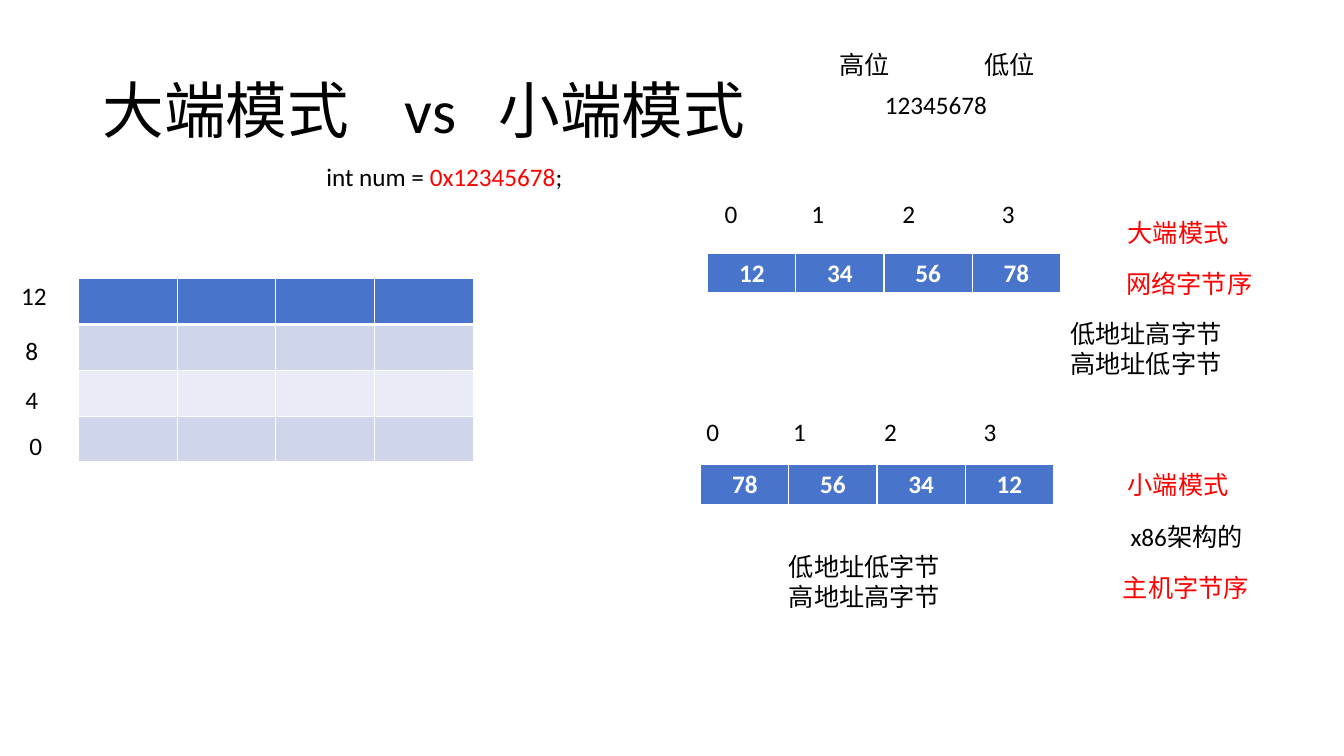
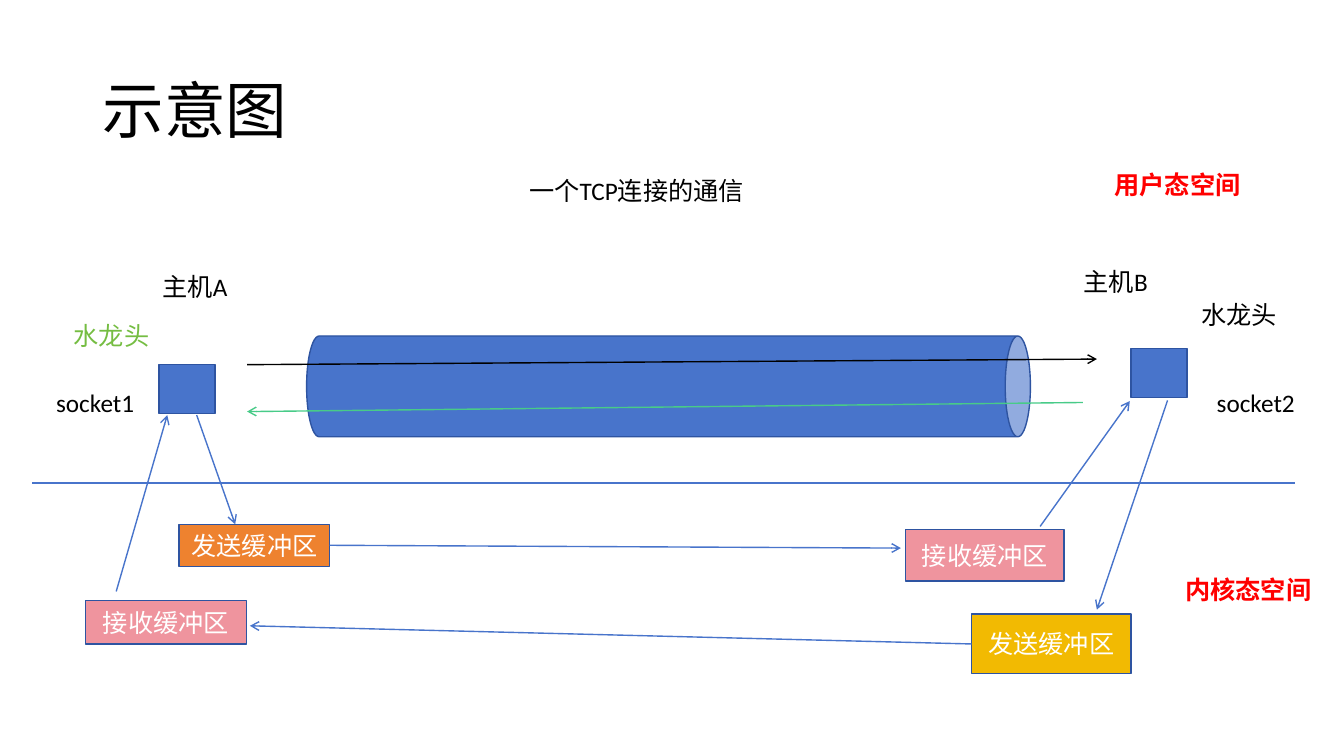
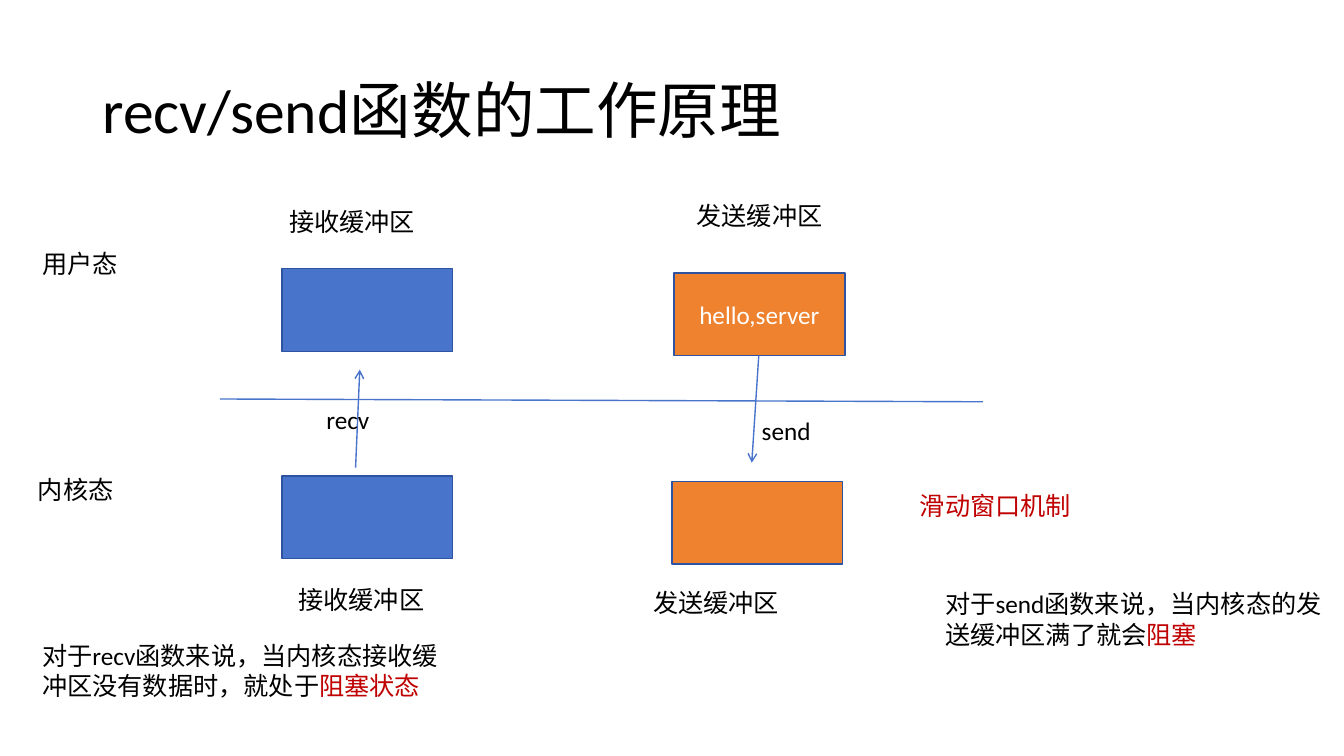
from collections import namedtuple

from pptx import Presentation
from pptx.dml.color import RGBColor
from pptx.enum.shapes import MSO_CONNECTOR, MSO_SHAPE
from pptx.enum.text import MSO_ANCHOR, PP_ALIGN
from pptx.oxml.ns import qn
from pptx.util import Pt
from lxml import etree

STRAIGHT = MSO_CONNECTOR.STRAIGHT
RECT, CAN = MSO_SHAPE.RECTANGLE, MSO_SHAPE.CAN
MIDDLE = MSO_ANCHOR.MIDDLE
LEFT, CENTER = PP_ALIGN.LEFT, PP_ALIGN.CENTER

FONT = "Calibri"
TITLE_SIZE, BODY_SIZE = 44, 18
LINE_HEIGHT = 29
BLACK, WHITE, RED, DARK_RED = "000000", "FFFFFF", "FF0000", "C00000"
BLUE, OUTLINE, ORANGE, PINK, YELLOW = "4874CB", "2E54A1", "EE822F", "EF949E", "F2BA02"
LEAF, MINT = "75BD42", "48CB88"
BAND_DARK, BAND_LIGHT = "CFD6EC", "E9EBF6"

Box = namedtuple("Box", "left top width height")
PAGE = Box(0, 0, 960, 540)
TITLE_BOX = Box(66, 29, 828, 104)


# Shared helpers

def rgb(value):
    return RGBColor.from_string(value)


def inside(box, left, top, width, height):
    """Box given by offsets from another box."""
    return Box(box.left + left, box.top + top, width, height)


def points(box):
    return [Pt(length) for length in box]


def style_para(para, size, color, bold=False, align=LEFT):
    para.alignment = align
    for span in para.runs:
        span.font.name = FONT
        span.font.size = Pt(size)
        span.font.bold = bold
        span.font.color.rgb = rgb(color)


def set_tabs(para, stops):
    tab_list = etree.SubElement(para._p.get_or_add_pPr(), qn("a:tabLst"))
    for stop in stops:
        etree.SubElement(tab_list, qn("a:tab"), pos=str(Pt(stop)), algn="l")


def new_slide(deck, title, stops=()):
    slide = deck.slides.add_slide(deck.slide_layouts[5])
    holder = slide.shapes.title
    holder.left, holder.top, holder.width, holder.height = points(TITLE_BOX)
    holder.text_frame.text = title
    holder.text_frame.vertical_anchor = MIDDLE
    para = holder.text_frame.paragraphs[0]
    style_para(para, TITLE_SIZE, BLACK)
    para.line_spacing = 0.9
    if stops:
        set_tabs(para, stops)
    return slide


def add_label(slide, box, left, top, width, text, color=BLACK, bold=False,
              marked="", mark_color=RED):
    """Text box at an offset from box; the marked words get mark_color."""
    lines = text.split("\n")
    place = inside(box, left, top, width, LINE_HEIGHT * len(lines))
    frame = slide.shapes.add_textbox(*points(place)).text_frame
    frame.word_wrap = True
    frame.text = text
    for para in frame.paragraphs:
        if marked:
            pieces = para.text.partition(marked)
            para.text = ""
            for piece in filter(None, pieces):
                para.add_run().text = piece
        style_para(para, BODY_SIZE, color, bold)
        for span in para.runs:
            if span.text == marked:
                span.font.color.rgb = rgb(mark_color)
    return frame


def add_block(slide, place, fill, text="", kind=RECT):
    block = slide.shapes.add_shape(kind, *points(place))
    block.shadow.inherit = False
    block.fill.solid()
    block.fill.fore_color.rgb = rgb(fill)
    block.line.color.rgb = rgb(OUTLINE)
    block.line.width = Pt(1)
    if text:
        frame = block.text_frame
        frame.margin_left = frame.margin_right = 0
        frame.vertical_anchor = MIDDLE
        frame.text = text
        style_para(frame.paragraphs[0], BODY_SIZE, WHITE, align=CENTER)
    return block


def add_line(slide, box, start, end, color=BLUE, arrow=True):
    (x1, y1), (x2, y2) = start, end
    line = slide.shapes.add_connector(
        STRAIGHT, Pt(box.left + x1), Pt(box.top + y1), Pt(box.left + x2), Pt(box.top + y2))
    line.line.color.rgb = rgb(color)
    line.line.width = Pt(1)
    if arrow:
        etree.SubElement(line.line._get_or_add_ln(), qn("a:tailEnd"), type="arrow")
    etree.SubElement(line._element.spPr, qn("a:effectLst"))


def set_borders(cell, widths):
    """White borders; widths are left, right, top, bottom."""
    properties = cell._tc.get_or_add_tcPr()
    for index, (side, width) in enumerate(zip("LRTB", widths)):
        border = etree.Element(qn("a:ln" + side), w=str(Pt(width)))
        fill = etree.SubElement(border, qn("a:solidFill"))
        etree.SubElement(fill, qn("a:srgbClr"), val=WHITE)
        properties.insert(index, border)


def add_grid(slide, box, rows, fills):
    """Table of equal cells with a thick line below its first row."""
    columns = len(rows[0])
    table = slide.shapes.add_table(len(rows), columns, *points(box)).table
    table.first_row = table.horz_banding = False
    for column in table.columns:
        column.width = Pt(box.width / columns)
    for index, (row, fill) in enumerate(zip(rows, fills)):
        table.rows[index].height = Pt(box.height / len(rows))
        for number, text in enumerate(row):
            cell = table.cell(index, number)
            cell.fill.solid()
            cell.fill.fore_color.rgb = rgb(fill)
            set_borders(cell, (1, 1, 3 if index == 1 else 1, 3 if index == 0 else 1))
            if text:
                cell.text = text
                style_para(cell.text_frame.paragraphs[0], BODY_SIZE, WHITE, True, CENTER)


# Slide 1: byte order

def draw_memory(slide, box):
    add_grid(slide, box, [[""] * 4] * 4, [BLUE, BAND_DARK, BAND_LIGHT, BAND_DARK])
    for left, top, address in ((-48, -2, "12"), (-45, 37, "8"),
                               (-45, 72, "4"), (-42, 105, "0")):
        add_label(slide, box, left, top, 42, address)


def draw_byte_order(slide, box, index_offset, values, notes):
    add_grid(slide, box, [values], [BLUE])
    index = add_label(slide, box, *index_offset, 270, "0\t1\t2\t3")
    set_tabs(index.paragraphs[0], (62, 127, 198))
    for left, top, text, color in notes:
        add_label(slide, box, left, top, 150, text, color)


def byte_order_slide(deck):
    slide = new_slide(deck, "大端模式\tvs\t小端模式", (216, 283))
    draw_memory(slide, Box(56, 199, 282, 131))
    add_label(slide, PAGE, 226, 112, 271, "int num = 0x12345678;", marked="0x12345678")
    for left, top, width, text in ((625, 60.5, 228, "12345678"), (592.5, 31.5, 82, "高位"),
                                   (696, 31.5, 67, "低位")):
        add_label(slide, PAGE, left, top, width, text)
    values = ["12", "34", "56", "78"]
    draw_byte_order(slide, Box(505.5, 181, 252, 29), (5, -43), values, (
        (293, -29, "大端模式", RED),
        (292, 7, "网络字节序", RED),
        (252, 43, "低地址高字节\n高地址低字节", BLACK)))
    draw_byte_order(slide, Box(500.5, 332, 252, 29), (-3, -38), values[::-1], (
        (298, 0, "小端模式", RED),
        (300, 37, "x86架构的", BLACK),
        (294.5, 73.5, "主机字节序", RED),
        (56, 58, "低地址低字节\n高地址高字节", BLACK)))


# Slide 2: one connection between two hosts

def draw_channel(slide, box):
    shift = (box.width - box.height) / 2
    upright = inside(box, shift, -shift, box.height, box.width)
    add_block(slide, upright, BLUE, kind=CAN).rotation = 90
    add_line(slide, box, (-42.5, 20.5), (564.5, 16.5), BLACK)
    add_line(slide, box, (554.5, 47.5), (-42.5, 54), MINT)


def draw_host(slide, box, socket_at, labels, buffers, arrows):
    add_block(slide, inside(box, *socket_at, 40, 35), BLUE)
    for left, top, text, color in labels:
        add_label(slide, box, left, top, 84, text, color)
    for place, text, fill in buffers:
        add_block(slide, inside(box, *place), fill, text)
    for start, end in arrows:
        add_line(slide, box, start, end)


def connection_slide(deck):
    slide = new_slide(deck, "示意图")
    draw_channel(slide, Box(219, 240, 517, 72))
    draw_host(
        slide, Box(30, 180, 210, 281), (83.5, 80.5),
        labels=((79, 10, "主机A", BLACK), (15.5, 45.5, "水龙头", LEAF),
                (3, 93, "socket1", BLACK)),
        buffers=(((98, 194.5, 107.5, 30), "发送缓冲区", ORANGE),
                 ((31, 249, 115, 31), "接收缓冲区", PINK)),
        arrows=(((110.5, 116.5), (138, 194.5)), ((53, 242.5), (89.5, 116.5))))
    draw_host(
        slide, Box(640, 180, 306, 301), (168, 69),
        labels=((127, 7, "主机B", BLACK), (211, 30, "水龙头", BLACK),
                (222, 93, "socket2", BLACK)),
        buffers=(((7, 198, 113, 37), "接收缓冲区", PINK),
                 ((54, 258.5, 114, 42.5), "发送缓冲区", YELLOW)),
        arrows=(((194, 106), (143.5, 255.5)), ((103, 196), (167, 106.5))))
    # Traffic between buffers, and the border of user and kernel space
    add_line(slide, PAGE, (235.5, 389.5), (643.5, 391.5))
    add_line(slide, PAGE, (694, 460), (178.5, 447))
    add_line(slide, PAGE, (23, 345), (925, 345), arrow=False)
    add_label(slide, PAGE, 789, 117.5, 115, "用户态空间", RED, True)
    add_label(slide, PAGE, 839.5, 407, 106, "内核态空间", RED, True)
    add_label(slide, PAGE, 371, 121.5, 200, "一个TCP连接的通信")


# Slide 3: recv and send

def draw_buffer_pair(slide, box, fill, name, heading_at, caption_at, kernel_at,
                     call, call_at, arrow, content=""):
    """User buffer in box, kernel buffer below it, and the call between them."""
    add_block(slide, box, fill, content)
    add_block(slide, inside(box, *kernel_at, box.width, box.height), fill)
    add_label(slide, box, *heading_at, 160, name)
    add_label(slide, box, *caption_at, 160, name)
    add_line(slide, box, *arrow)
    add_label(slide, box, *call_at, 115, call)


def calls_slide(deck):
    slide = new_slide(deck, "recv/send函数的工作原理")
    add_line(slide, PAGE, (157, 285), (702, 287), arrow=False)
    draw_buffer_pair(
        slide, Box(201.5, 192, 122, 59), BLUE, "接收缓冲区",
        heading_at=(-2, -48.5), caption_at=(4.5, 222), kernel_at=(0, 148),
        call="recv", call_at=(24.5, 93), arrow=((52.5, 142), (55.5, 72)))
    draw_buffer_pair(
        slide, Box(481.5, 195, 122, 59), ORANGE, "发送缓冲区",
        heading_at=(9, -55.5), caption_at=(-22, 221), kernel_at=(-1.5, 149),
        call="send", call_at=(55.5, 98), arrow=((60.5, 59), (55.5, 135.5)),
        content="hello,server")
    add_label(slide, PAGE, 23, 173.5, 109, "用户态")
    add_label(slide, PAGE, 20, 335, 126, "内核态")
    add_label(slide, PAGE, 650, 347, 186, "滑动窗口机制", DARK_RED)
    add_label(slide, PAGE, 23, 453.5, 304,
              "对于recv函数来说，当内核态接收缓冲区没有数据时，就处于阻塞状态",
              marked="阻塞状态", mark_color=DARK_RED)
    add_label(slide, PAGE, 668, 417, 286,
              "对于send函数来说，当内核态的发送缓冲区满了就会阻塞",
              marked="阻塞", mark_color=DARK_RED)


def main():
    deck = Presentation()
    deck.slide_width, deck.slide_height = Pt(PAGE.width), Pt(PAGE.height)
    byte_order_slide(deck)
    connection_slide(deck)
    calls_slide(deck)
    deck.save("out.pptx")


if __name__ == "__main__":
    main()
